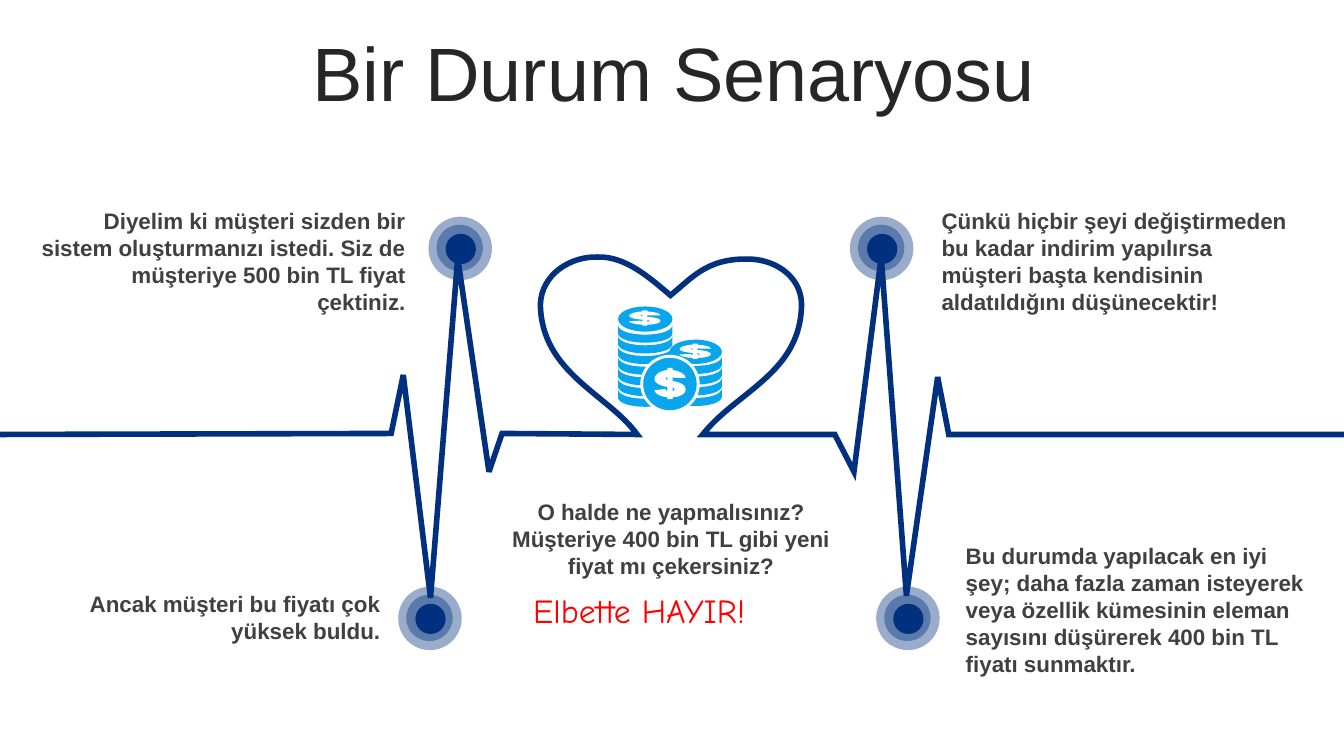
from dataclasses import dataclass

from lxml import etree
from pptx import Presentation
from pptx.dml.color import RGBColor
from pptx.enum.shapes import MSO_SHAPE
from pptx.enum.text import MSO_ANCHOR, PP_ALIGN
from pptx.oxml.ns import qn
from pptx.util import Emu, Pt

PX = 9144  # 100 px to the inch
OVAL = MSO_SHAPE.OVAL
TOP, MIDDLE = MSO_ANCHOR.TOP, MSO_ANCHOR.MIDDLE
LEFT, CENTER, RIGHT = PP_ALIGN.LEFT, PP_ALIGN.CENTER, PP_ALIGN.RIGHT
Contour = list[tuple[float, ...]]


@dataclass(frozen=True)
class Theme:
    navy: str = "00307E"
    coin: str = "0AA6ED"
    white: str = "FFFFFF"
    title: str = "262626"
    body: str = "404040"
    alert: str = "FF0000"
    font: str = "Arial"
    alert_font: str = "Comic Neue"
    title_size: int = 54
    body_size: int = 16
    alert_size: int = 24
    pulse_width: int = 4


@dataclass(frozen=True)
class Note:
    text: str
    left: int
    top: int
    width: int
    height: int
    align: PP_ALIGN


@dataclass(frozen=True)
class Marker:
    left: int
    top: int


@dataclass(frozen=True)
class Ring:
    inset: int
    size: int
    opacity: int


@dataclass(frozen=True)
class CoinStack:
    left: int
    top: int
    width: int
    height: int
    first_band: int
    bands: int


THEME = Theme()
NOTES = [
    Note("O halde ne yapmalısınız? Müşteriye 400 bin TL gibi yeni fiyat mı çekersiniz?",
         496, 489, 339, 91, CENTER),
    Note("Diyelim ki müşteri sizden bir sistem oluşturmanızı istedi. "
         "Siz de müşteriye 500 bin TL fiyat çektiniz.", 27, 201, 385, 91, RIGHT),
    Note("Ancak müşteri bu fiyatı çok yüksek buldu.", 76, 581, 311, 64, RIGHT),
    Note("Çünkü hiçbir şeyi değiştirmeden bu kadar indirim yapılırsa "
         "müşteri başta kendisinin aldatıldığını düşünecektir!", 924, 201, 364, 118, LEFT),
    Note("Bu durumda yapılacak en iyi şey; daha fazla zaman isteyerek veya özellik "
         "kümesinin eleman sayısını düşürerek 400 bin TL fiyatı sunmaktır.",
         948, 533, 359, 145, LEFT),
]
MARKERS = [Marker(425, 215), Marker(843, 215), Marker(395, 582), Marker(869, 582)]
RINGS = [Ring(0, 63, 40), Ring(8, 46, 40), Ring(17, 30, 100)]
STACKS = [CoinStack(664, 337, 52, 24, 354, 4), CoinStack(613, 304, 54, 25, 323, 7)]
BAND_PITCH, BAND_PULL, BAND_THICKNESS = 10.6, 12, 8

# Outlines: two numbers draw a line, six draw a cubic curve.
PULSE = [
    (-1, 431), (388, 430), (400, 372), (427, 593), (454, 256), (485, 468), (498, 430), (632, 431),
    (603, 391, 537, 370, 536, 302), (537, 272, 566, 254, 593, 255),
    (621, 254, 646, 277, 665, 293), (685, 277, 700, 257, 739, 257),
    (767, 256, 794, 273, 795, 301), (795, 370, 731, 388, 697, 431),
    (828, 431), (847, 468), (874, 255), (899, 591), (930, 374), (941, 431), (1333, 431),
]
DOLLAR_SIZE = 31
DOLLAR = [
    [(13, 0), (13, 2), (5, 3, 0, 7, 0, 11), (0, 15, 6, 18, 13, 19), (13, 23),
     (12, 23, 11, 22, 11, 21), (0, 22), (0, 25, 6, 29, 13, 29), (13, 31), (18, 31), (18, 29),
     (26, 29, 32, 25, 31, 21), (31, 17, 26, 14, 18, 13), (18, 9), (19, 9, 20, 10, 20, 10),
     (31, 10), (31, 6, 25, 3, 18, 2), (18, 0)],
    [(13, 9), (13, 12), (12, 12, 11, 11, 11, 11), (11, 10, 12, 9, 13, 9)],
    [(18, 19), (19, 20, 20, 20, 20, 21), (20, 22, 20, 23, 18, 23)],
]


def color(value: str) -> RGBColor:
    return RGBColor.from_string(value)


def add_outline(shapes, contours: list[Contour], fill: str = "", line: str = "",
                close: bool = True) -> None:
    """Draw contours given in px as one freeform, with its curves kept as curves."""
    builder = shapes.build_freeform(*(v * PX for v in contours[0][0]))
    for index, contour in enumerate(contours):
        if index:
            builder.move_to(*(v * PX for v in contour[0]))
        points = [(part[i] * PX, part[i + 1] * PX)
                  for part in contour[1:] for i in range(0, len(part), 2)]
        builder.add_line_segments(points, close=close)
    shape = builder.convert_to_shape()
    segments = iter(list(shape.element.iter(qn("a:lnTo"))))
    for part in (part for contour in contours for part in contour[1:]):
        group = [next(segments) for _ in range(len(part) // 2)]
        if len(group) == 3:
            curve = etree.SubElement(group[0].getparent(), qn("a:cubicBezTo"))
            group[0].addprevious(curve)
            for segment in group:
                curve.append(segment[0])
                segment.getparent().remove(segment)
    shape.shadow.inherit = False
    if fill:
        shape.fill.solid()
        shape.fill.fore_color.rgb = color(fill)
    else:
        shape.fill.background()
    if line:
        shape.line.color.rgb = color(line)
        shape.line.width = Pt(THEME.pulse_width)
        etree.SubElement(shape.element.spPr.find(qn("a:ln")), qn("a:miter"), lim="800000")
    else:
        shape.line.fill.background()


def add_oval(shapes, left: int, top: int, width: int, height: int, fill: str,
             opacity: int = 100) -> None:
    shape = shapes.add_shape(OVAL, *(Emu(v * PX) for v in (left, top, width, height)))
    shape.shadow.inherit = False
    shape.fill.solid()
    shape.fill.fore_color.rgb = color(fill)
    shape.line.fill.background()
    if opacity < 100:
        tone = shape.element.spPr.find(qn("a:solidFill"))[0]
        etree.SubElement(tone, qn("a:alpha"), val=str(opacity * 1000))


def add_text(shapes, text: str, left: int, top: int, width: int, height: int, *,
             size: int = THEME.body_size, font: str = THEME.font, tone: str = THEME.body,
             bold: bool = False, align: PP_ALIGN = LEFT, anchor: MSO_ANCHOR = TOP,
             spacing: float = 1.0) -> None:
    box = shapes.add_textbox(*(Emu(v * PX) for v in (left, top, width, height)))
    frame = box.text_frame
    frame.word_wrap = True
    frame.vertical_anchor = anchor
    paragraph = frame.paragraphs[0]
    paragraph.alignment = align
    paragraph.line_spacing = spacing
    run = paragraph.add_run()
    run.text = text
    run.font.name, run.font.size, run.font.bold = font, Pt(size), bold
    run.font.color.rgb = color(tone)


def add_marker(shapes, marker: Marker) -> None:
    group = shapes.add_group_shape()
    for ring in RINGS:
        add_oval(group.shapes, marker.left + ring.inset, marker.top + ring.inset,
                 ring.size, ring.size, THEME.navy, ring.opacity)


def add_dollar(shapes, left: int, top: int, height: int) -> None:
    ratio = height / DOLLAR_SIZE
    contours = [[tuple(top + v * ratio if i % 2 else left + v for i, v in enumerate(part))
                 for part in contour] for contour in DOLLAR]
    add_outline(shapes, contours, fill=THEME.white)


def coin_band(left: float, right: float, top: float) -> Contour:
    bottom = top + BAND_THICKNESS
    return [(left, top),
            (left + 2, top + BAND_PULL, right - 2, top + BAND_PULL, right, top),
            (right, bottom),
            (right - 2, bottom + BAND_PULL, left + 2, bottom + BAND_PULL, left, bottom)]


def add_stack(shapes, stack: CoinStack) -> None:
    """Draw a top coin and the curved rims of the coins below it."""
    add_oval(shapes, stack.left, stack.top, stack.width, stack.height, THEME.coin)
    add_dollar(shapes, stack.left + (stack.width - DOLLAR_SIZE) // 2, stack.top + 4, 15)
    bands = [coin_band(stack.left, stack.left + stack.width, stack.first_band + i * BAND_PITCH)
             for i in range(stack.bands)]
    add_outline(shapes, bands, fill=THEME.coin)


def main() -> None:
    presentation = Presentation()
    presentation.slide_width, presentation.slide_height = Emu(1333 * PX), Emu(750 * PX)
    shapes = presentation.slides.add_slide(presentation.slide_layouts[6]).shapes
    add_text(shapes, "Bir Durum Senaryosu", 35, 37, 1266, 79, size=THEME.title_size,
             tone=THEME.title, align=CENTER, anchor=MIDDLE, spacing=0.9)
    add_outline(shapes, [PULSE], line=THEME.navy, close=False)
    for note in NOTES:
        add_text(shapes, note.text, note.left, note.top, note.width, note.height,
                 bold=True, align=note.align)
    for marker in MARKERS:
        add_marker(shapes, marker)
    coins = shapes.add_group_shape().shapes
    for stack in STACKS:
        add_stack(coins, stack)
    add_oval(coins, 635, 352, 59, 58, THEME.white)
    add_oval(coins, 638, 355, 53, 52, THEME.coin)
    add_dollar(coins, 649, 365, DOLLAR_SIZE)
    add_text(shapes, "Elbette HAYIR!", 519, 580, 421, 50, size=THEME.alert_size,
             font=THEME.alert_font, tone=THEME.alert)
    presentation.save("out.pptx")


if __name__ == "__main__":
    main()
